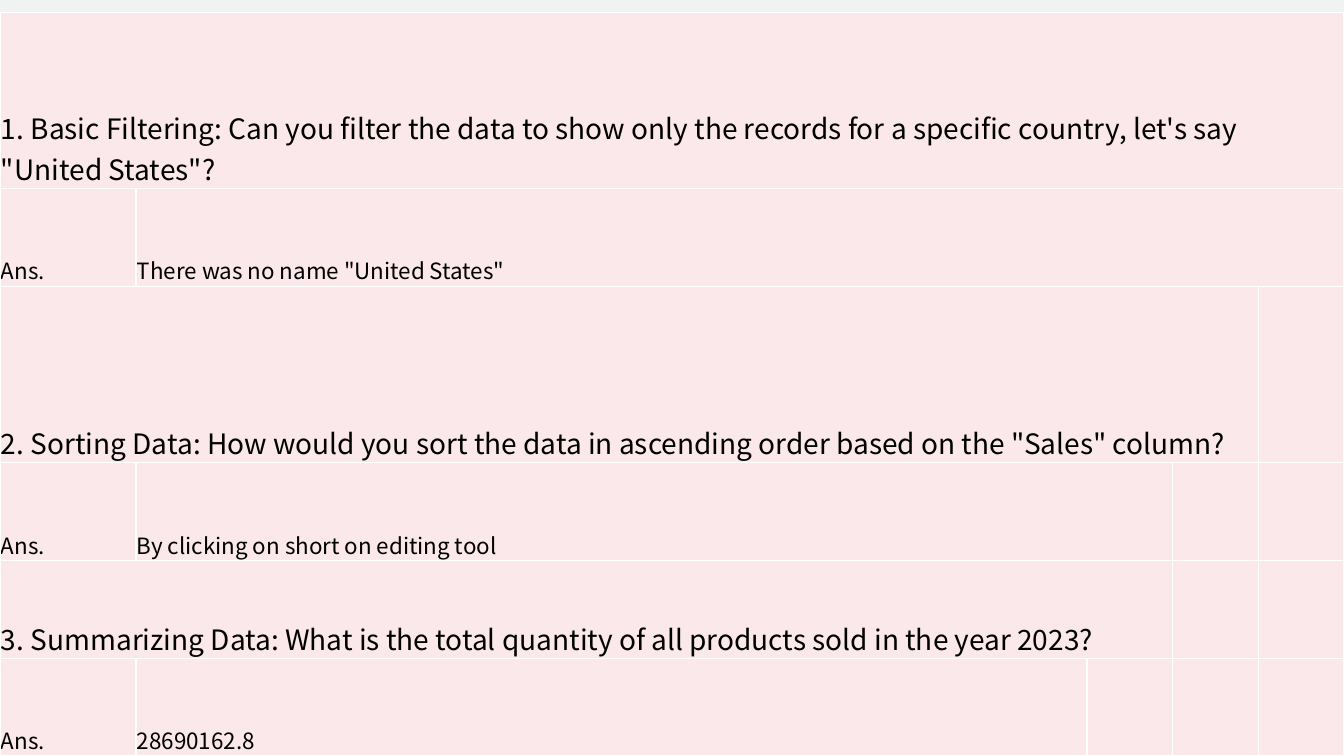
from lxml import etree
from pptx import Presentation
from pptx.dml.color import RGBColor
from pptx.enum.text import MSO_ANCHOR
from pptx.oxml.ns import qn
from pptx.util import Inches, Pt

BOTTOM = MSO_ANCHOR.BOTTOM
BACKGROUND = RGBColor(0xF0, 0xF3, 0xF2)
PINK = RGBColor(0xFA, 0xE8, 0xEA)
WHITE = RGBColor(0xFF, 0xFF, 0xFF)
BLACK = RGBColor(0, 0, 0)
FONT = "Noto Sans CJK SC"
QUESTION_SIZE, ANSWER_SIZE = 20, 16

COLS = [1.35, 9.44, 0.85, 0.85, 0.85]
TALL, SHORT = 1.75, 0.97

QUESTIONS = [
    (TALL, 5, "1. Basic Filtering: Can you filter the data to show only the records "
              "for a specific country, let's say \"United States\"?",
     4, 'There was no name "United States"'),
    (TALL, 4, "2. Sorting Data: How would you sort the data in ascending order "
              'based on the "Sales" column?',
     2, "By clicking on short on editing tool"),
    (SHORT, 3, "3. Summarizing Data: What is the total quantity of all products "
               "sold in the year 2023?",
     1, "28690162.8"),
]


def style_cell(cell):
    tcPr = cell._tc.get_or_add_tcPr()
    for side in ("a:lnL", "a:lnR", "a:lnT", "a:lnB"):
        ln = etree.SubElement(tcPr, qn(side), w=str(Pt(1)))
        fill = etree.SubElement(ln, qn("a:solidFill"))
        etree.SubElement(fill, qn("a:srgbClr"), val=str(WHITE))
    cell.fill.solid()
    cell.fill.fore_color.rgb = PINK
    cell.vertical_anchor = BOTTOM
    cell.margin_left = cell.margin_right = cell.margin_top = Inches(0.01)
    cell.margin_bottom = 0


def write_cell(table, row, col, span, text, size):
    cell = table.cell(row, col)
    if span > 1:
        cell.merge(table.cell(row, col + span - 1))
    r = cell.text_frame.paragraphs[0].add_run()
    r.text = text
    r.font.name = FONT
    r.font.size = Pt(size)
    r.font.color.rgb = BLACK


def add_questions(slide, left, top, width, height):
    rows = [h for question in QUESTIONS for h in (question[0], SHORT)]
    table = slide.shapes.add_table(len(rows), len(COLS), left, top, width, height).table
    table.first_row = False
    table.horz_banding = False
    for column, share in zip(table.columns, COLS):
        column.width = int(width * share / sum(COLS))
    for row, share in zip(table.rows, rows):
        row.height = int(height * share / sum(rows))
    for cell in table.iter_cells():
        style_cell(cell)
    for i, (_, question_span, question, answer_span, answer) in enumerate(QUESTIONS):
        write_cell(table, 2 * i, 0, question_span, question, QUESTION_SIZE)
        write_cell(table, 2 * i + 1, 0, 1, "Ans.", ANSWER_SIZE)
        write_cell(table, 2 * i + 1, 1, answer_span, answer, ANSWER_SIZE)


def main():
    prs = Presentation()
    prs.slide_width = Inches(13.33)
    prs.slide_height = Inches(7.5)
    slide = prs.slides.add_slide(prs.slide_layouts[6])
    slide.background.fill.solid()
    slide.background.fill.fore_color.rgb = BACKGROUND
    top = Inches(0.12)
    add_questions(slide, 0, top, prs.slide_width, prs.slide_height - top)
    prs.save("out.pptx")


if __name__ == "__main__":
    main()
